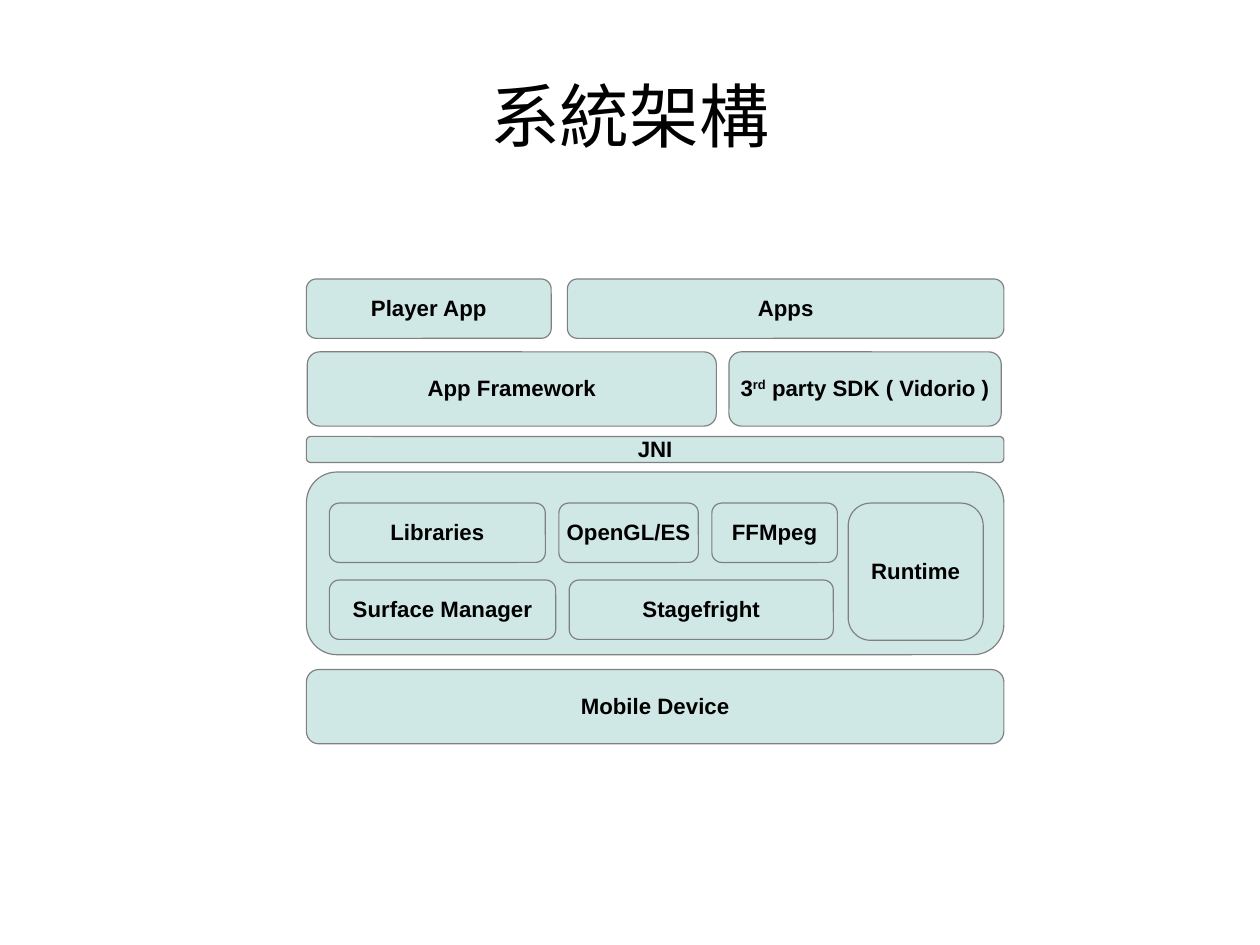
"""Build the layered system architecture slide."""
from pptx import Presentation
from pptx.dml.color import RGBColor
from pptx.enum.shapes import MSO_SHAPE
from pptx.enum.text import MSO_ANCHOR, MSO_AUTO_SIZE, PP_ALIGN
from pptx.util import Cm, Pt

TITLE = "系統架構"
COLORS = {"fill": "CFE7E5", "line": "808080", "text": "000000"}

# Each row: left, top, height, gap, [(label, width), ...] in cm; ^ marks superscript
ROWS = [
    (6.81, 6.2, 1.32, 0.36, [("Player App", 5.44), ("Apps", 9.7)]),
    (6.83, 7.82, 1.65, 0.28, [("App Framework", 9.09), ("3^rd^ party SDK ( Vidorio )", 6.05)]),
    (6.81, 9.7, 0.58, 0, [("JNI", 15.5)]),
    (6.81, 10.49, 4.06, 0, [("", 15.5)]),
    (7.32, 11.18, 1.32, 0.3, [("Libraries", 4.8), ("OpenGL/ES", 3.1), ("FFMpeg", 2.79)]),
    (7.32, 12.89, 1.32, 0.3, [("Surface Manager", 5.03), ("Stagefright", 5.87)]),
    (18.85, 11.18, 3.05, 0, [("Runtime", 3)]),
    (6.81, 14.88, 1.65, 0, [("Mobile Device", 15.5)]),
]


def write(tf, text, size, bold=False, insets=(0, 0, 0, 0), wrap=True):
    tf.auto_size = MSO_AUTO_SIZE.NONE
    tf.word_wrap = wrap
    tf.vertical_anchor = MSO_ANCHOR.MIDDLE
    tf.margin_left, tf.margin_top, tf.margin_right, tf.margin_bottom = map(Cm, insets)
    p = tf.paragraphs[0]
    p.alignment = PP_ALIGN.CENTER
    p.line_spacing = 0.93
    for i, part in enumerate(text.split("^")):
        r = p.add_run()
        r.text = part
        r.font.name = "Arial"
        r.font.size = Pt(size)
        r.font.bold = bold
        r.font.color.rgb = RGBColor.from_string(COLORS["text"])
        if i % 2:
            r._r.get_or_add_rPr().set("baseline", "33000")


def add_block(slide, text, left, top, width, height):
    s = slide.shapes.add_shape(MSO_SHAPE.ROUNDED_RECTANGLE, Cm(left), Cm(top), Cm(width), Cm(height))
    s.shadow.inherit = False
    s.adjustments[0] = 0.167
    s.fill.solid()
    s.fill.fore_color.rgb = RGBColor.from_string(COLORS["fill"])
    s.line.color.rgb = RGBColor.from_string(COLORS["line"])
    s.line.width = Pt(0.75)
    if text:
        write(s.text_frame, text, 14, bold=True, insets=(0.25, 0.15, 0.25, 0.13), wrap=False)


def main():
    prs = Presentation()
    prs.slide_width, prs.slide_height = Cm(28), Cm(21)
    slide = prs.slides.add_slide(prs.slide_layouts[5])

    title = slide.shapes.title
    title.left, title.top, title.width, title.height = Cm(1.4), Cm(0.84), Cm(25.2), Cm(3.5)
    write(title.text_frame, TITLE, 44, insets=(0, 0.1, 0, 0))

    for left, top, height, gap, blocks in ROWS:
        for text, width in blocks:
            add_block(slide, text, left, top, width, height)
            left += width + gap

    prs.save("out.pptx")


if __name__ == "__main__":
    main()
